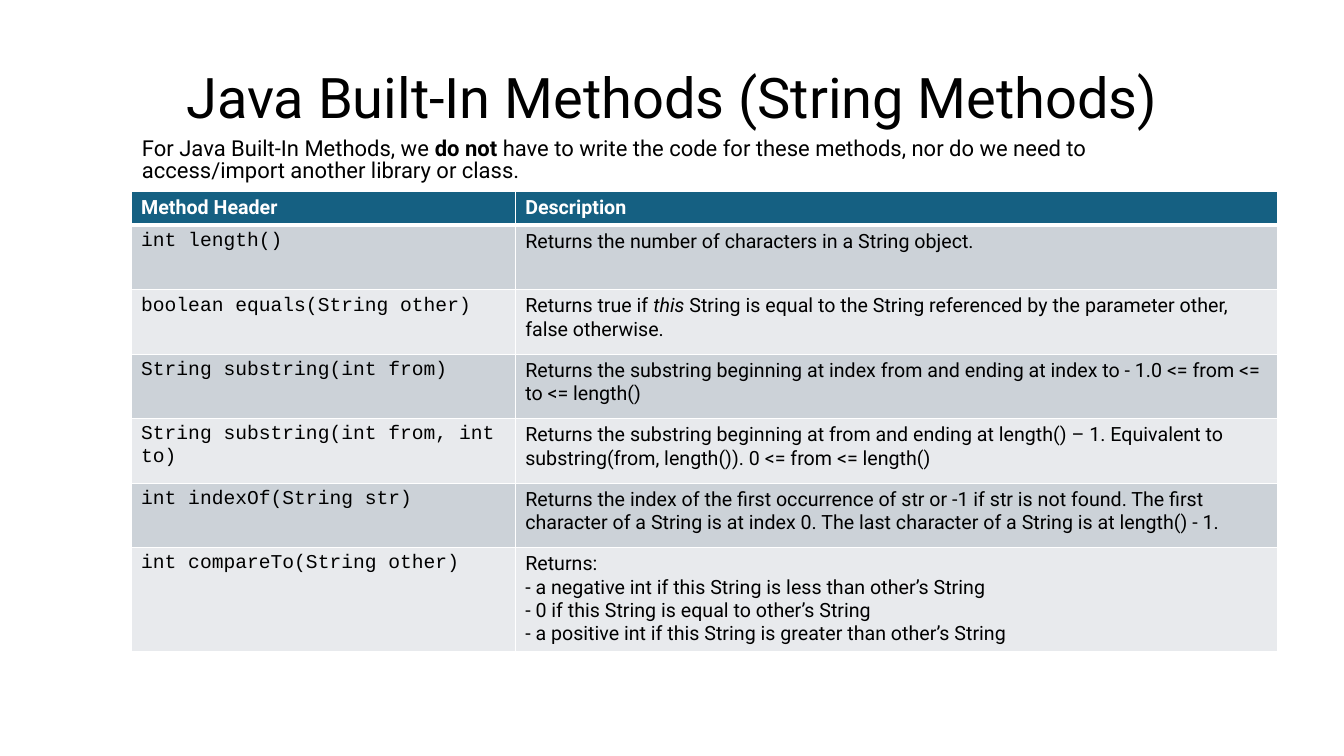
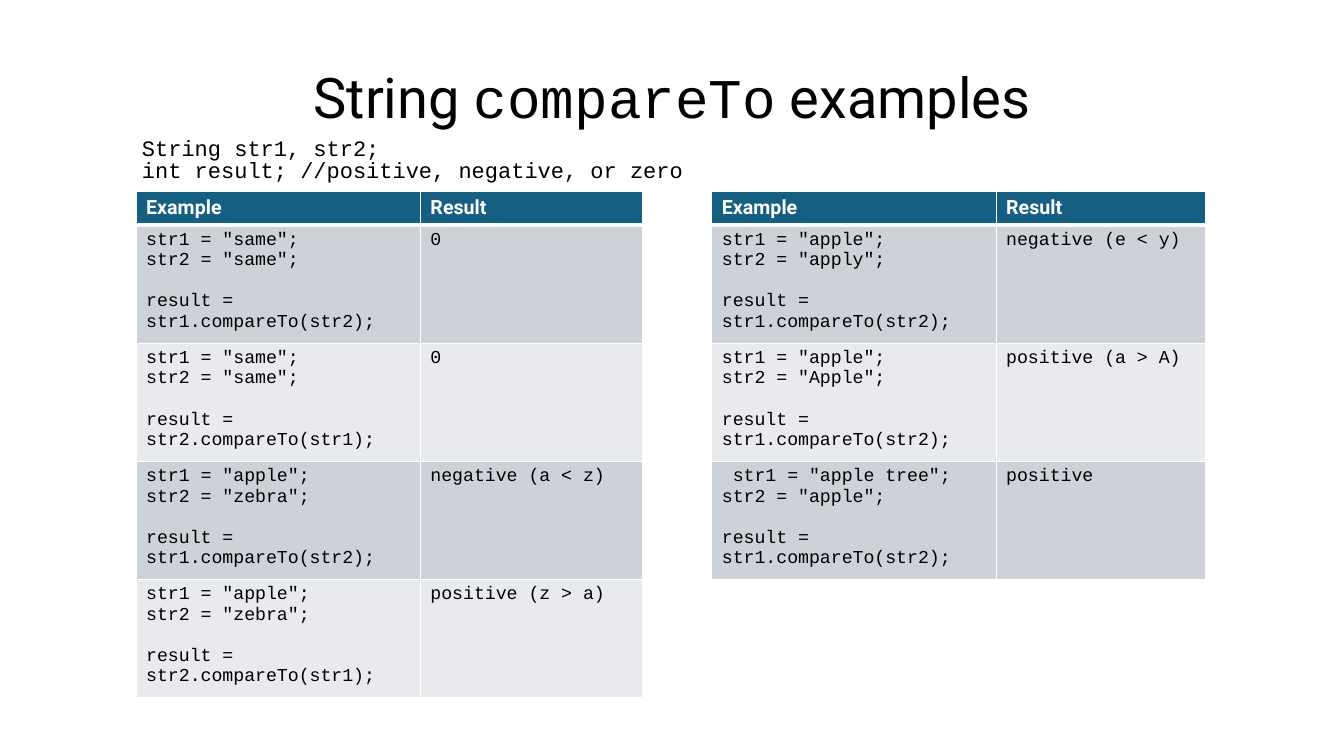
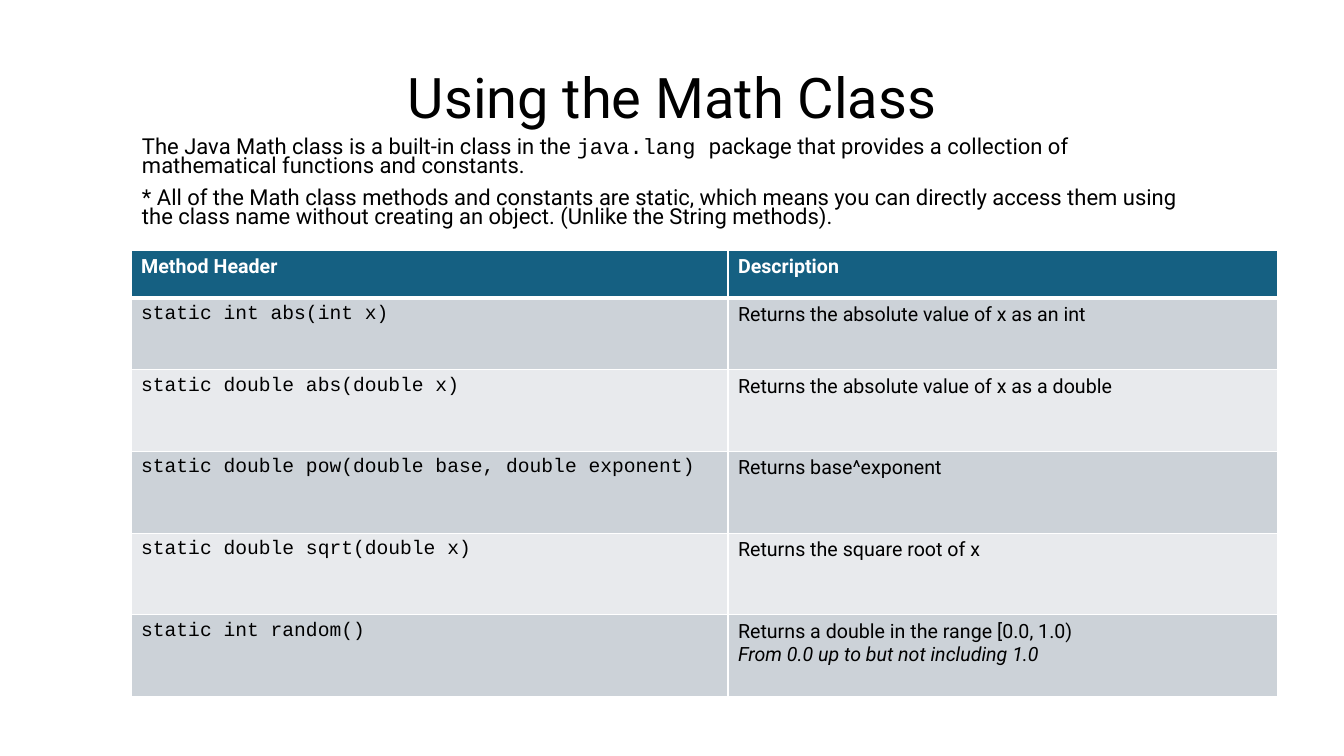
from lxml import etree
from pptx import Presentation
from pptx.dml.color import RGBColor
from pptx.enum.text import MSO_ANCHOR, PP_ALIGN
from pptx.oxml.ns import qn
from pptx.util import Pt

BOTTOM, TOP = MSO_ANCHOR.BOTTOM, MSO_ANCHOR.TOP
CENTER, LEFT = PP_ALIGN.CENTER, PP_ALIGN.LEFT
PX = 9144  # EMU per px, 100 px to the inch

SANS, MONO = "Roboto", "Courier New"
THEME = {
    "ink": RGBColor.from_string("000000"),
    "paper": RGBColor.from_string("FFFFFF"),
    "header": RGBColor.from_string("156082"),
    "bands": [RGBColor.from_string("CCD2D8"), RGBColor.from_string("E8EAED")],
    "rule": 1,
    "header_rule": 3,
    "title": {"size": Pt(40), "name": SANS, "bold": False},
    "intro": {"size": Pt(15.7), "name": SANS, "bold": False},
    "heading": {"size": Pt(14), "name": SANS, "bold": True},
    "cell": {"size": Pt(14), "bold": False},
    "example": {"size": Pt(13), "bold": False},
}
CODE, STRONG, EMPHASIS = {"name": MONO}, {"bold": True}, {"italic": True}


# Each line is a string or a list of runs; a run is a string or (string, changes)
def write(frame, lines, font, color, layout):
    for index, line in enumerate(lines):
        paragraph = frame.add_paragraph() if index else frame.paragraphs[0]
        for key, value in layout.items():
            setattr(paragraph, key, value)
        for part in [line] if isinstance(line, str) else line:
            words, changes = (part, {}) if isinstance(part, str) else part
            run = paragraph.add_run()
            run.text = words
            run.font.color.rgb = color
            for key, value in {**font, **changes}.items():
                setattr(run.font, key, value)


def draw_borders(cell, widths):
    properties = cell._tc.get_or_add_tcPr()
    for side, width in widths.items():
        line = etree.SubElement(properties, qn("a:ln" + side), w=str(Pt(width)))
        fill = etree.SubElement(line, qn("a:solidFill"))
        etree.SubElement(fill, qn("a:srgbClr"), val=str(THEME["paper"]))


# Content
def example(first, second, call, result):
    lines = [f'str1 = "{first}";', f'str2 = "{second}";', f"result = {call};"]
    return lines, [result]


FORWARD, BACKWARD = "str1.compareTo(str2)", "str2.compareTo(str1)"
apple_tree = example("apple tree", "apple", FORWARD, "positive")
apple_tree[0][0] = " " + apple_tree[0][0]

METHOD_HEADINGS = (["Method Header"], ["Description"])
EXAMPLE_HEADINGS = (["Example"], ["Result"])

string_methods = [
    METHOD_HEADINGS,
    (["int length()"], ["Returns the number of characters in a String object."]),
    (["boolean equals(String other)"],
     [["Returns true if ", ("this", EMPHASIS),
       " String is equal to the String referenced by the parameter other, false otherwise."]]),
    (["String substring(int from)"],
     ["Returns the substring beginning at index from and ending at index to - 1."
      "0 <= from <= to <= length()"]),
    (["String substring(int from, int to)"],
     ["Returns the substring beginning at from and ending at length() – 1. "
      "Equivalent to substring(from, length()). 0 <= from <= length()"]),
    (["int indexOf(String str)"],
     ["Returns the index of the first occurrence of str or -1 if str is not found. "
      "The first character of a String is at index 0. "
      "The last character of a String is at length() - 1."]),
    (["int compareTo(String other)"],
     ["Returns:",
      "- a negative int if this String is less than other’s String",
      "- 0 if this String is equal to other’s String",
      "- a positive int if this String is greater than other’s String"]),
]
same_and_zebra = [
    EXAMPLE_HEADINGS,
    example("same", "same", FORWARD, "0"),
    example("same", "same", BACKWARD, "0"),
    example("apple", "zebra", FORWARD, "negative (a < z)"),
    example("apple", "zebra", BACKWARD, "positive (z > a)"),
]
apple_variants = [
    EXAMPLE_HEADINGS,
    example("apple", "apply", FORWARD, "negative (e < y)"),
    example("apple", "Apple", FORWARD, "positive (a > A)"),
    apple_tree,
]
math_methods = [
    METHOD_HEADINGS,
    (["static int abs(int x)"], ["Returns the absolute value of x as an int"]),
    (["static double abs(double x)"], ["Returns the absolute value of x as a double"]),
    (["static double pow(double base, double exponent)"], ["Returns base^exponent"]),
    (["static double sqrt(double x)"], ["Returns the square root of x"]),
    (["static int random()"],
     ["Returns a double in the range [0.0, 1.0)",
      [("From 0.0 up to but not including 1.0", EMPHASIS)]]),
]

METHODS = {"style": "cell", "fonts": (MONO, SANS), "last_gap": 0}
EXAMPLES = {"style": "example", "fonts": (MONO, MONO), "last_gap": 14.7}
lessons = [
    {"title": ["Java Built-In Methods (String Methods)"],
     "intro": [["For Java Built-In Methods, we ", ("do not", STRONG),
                " have to write the code for these methods, nor do we need to "
                "access/import another library or class."]],
     "intro_height": 56, "spacing": 0.8, "gap": 10,
     "tables": [{**METHODS, "at": (130, 190), "columns": (381, 756),
                 "heights": [32] + [64] * 5 + [101], "rows": string_methods}]},
    {"title": [["String ", ("compareTo", CODE), " examples"]],
     "intro": [[("String str1, str2;", CODE)],
               [("int result; //positive, negative, or zero", CODE)]],
     "intro_height": 56, "spacing": 0.8, "gap": 0,
     "tables": [{**EXAMPLES, "at": (135, 190), "columns": (282, 220),
                 "heights": [32] + [112] * 4, "rows": same_and_zebra},
                {**EXAMPLES, "at": (706, 190), "columns": (282, 208),
                 "heights": [32] + [112] * 3, "rows": apple_variants}]},
    {"title": ["Using the Math Class"],
     "intro": [["The Java Math class is a built-in class in the ", ("java.lang ", CODE),
                "package that provides a collection of mathematical functions and constants."],
               "* All of the Math class methods and constants are static, which means you can "
               "directly access them using the class name without creating an object. "
               "(Unlike the String methods)."],
     "intro_height": 101, "spacing": 0.7, "gap": 10,
     "tables": [{**METHODS, "at": (130, 248), "columns": (592, 545),
                 "heights": [48, 71] + [81] * 4, "rows": math_methods}]},
]

deck = Presentation()
deck.slide_width, deck.slide_height = 1333 * PX, 750 * PX
blank = deck.slide_layouts[6]

for lesson in lessons:
    slide = deck.slides.add_slide(blank)

    # Title and introduction
    texts = [
        ("title", (130, 59, 1073, 75), BOTTOM,
         {"alignment": CENTER, "line_spacing": 0.9}),
        ("intro", (131, 134, 1072, lesson["intro_height"]), TOP,
         {"alignment": LEFT, "line_spacing": lesson["spacing"],
          "space_before": Pt(lesson["gap"])}),
    ]
    for role, place, anchor, layout in texts:
        frame = slide.shapes.add_textbox(*(n * PX for n in place)).text_frame
        frame.word_wrap = True
        frame.vertical_anchor = anchor
        write(frame, lesson[role], THEME[role], THEME["ink"], layout)

    # Tables
    for content in lesson["tables"]:
        rows, columns, heights = (content[key] for key in ("rows", "columns", "heights"))
        place = (*content["at"], sum(columns), sum(heights))
        table = slide.shapes.add_table(
            len(rows), len(columns), *(n * PX for n in place)).table
        table.horz_banding = False
        for column, width in zip(table.columns, columns):
            column.width = width * PX
        for r, row in enumerate(rows):
            table.rows[r].height = heights[r] * PX
            above = THEME["header_rule" if r == 1 else "rule"]
            below = THEME["header_rule" if r == 0 else "rule"]
            for c, lines in enumerate(row):
                cell = table.cell(r, c)
                draw_borders(cell, {"L": THEME["rule"], "R": THEME["rule"],
                                    "T": above, "B": below})
                cell.fill.solid()
                if r == 0:
                    cell.fill.fore_color.rgb = THEME["header"]
                    font, color = THEME["heading"], THEME["paper"]
                else:
                    cell.fill.fore_color.rgb = THEME["bands"][(r - 1) % 2]
                    font = {**THEME[content["style"]], "name": content["fonts"][c]}
                    color = THEME["ink"]
                write(cell.text_frame, lines, font, color, {"alignment": LEFT})
                if len(lines) > 1:
                    cell.text_frame.paragraphs[-1].space_before = Pt(content["last_gap"])

deck.save("out.pptx")
